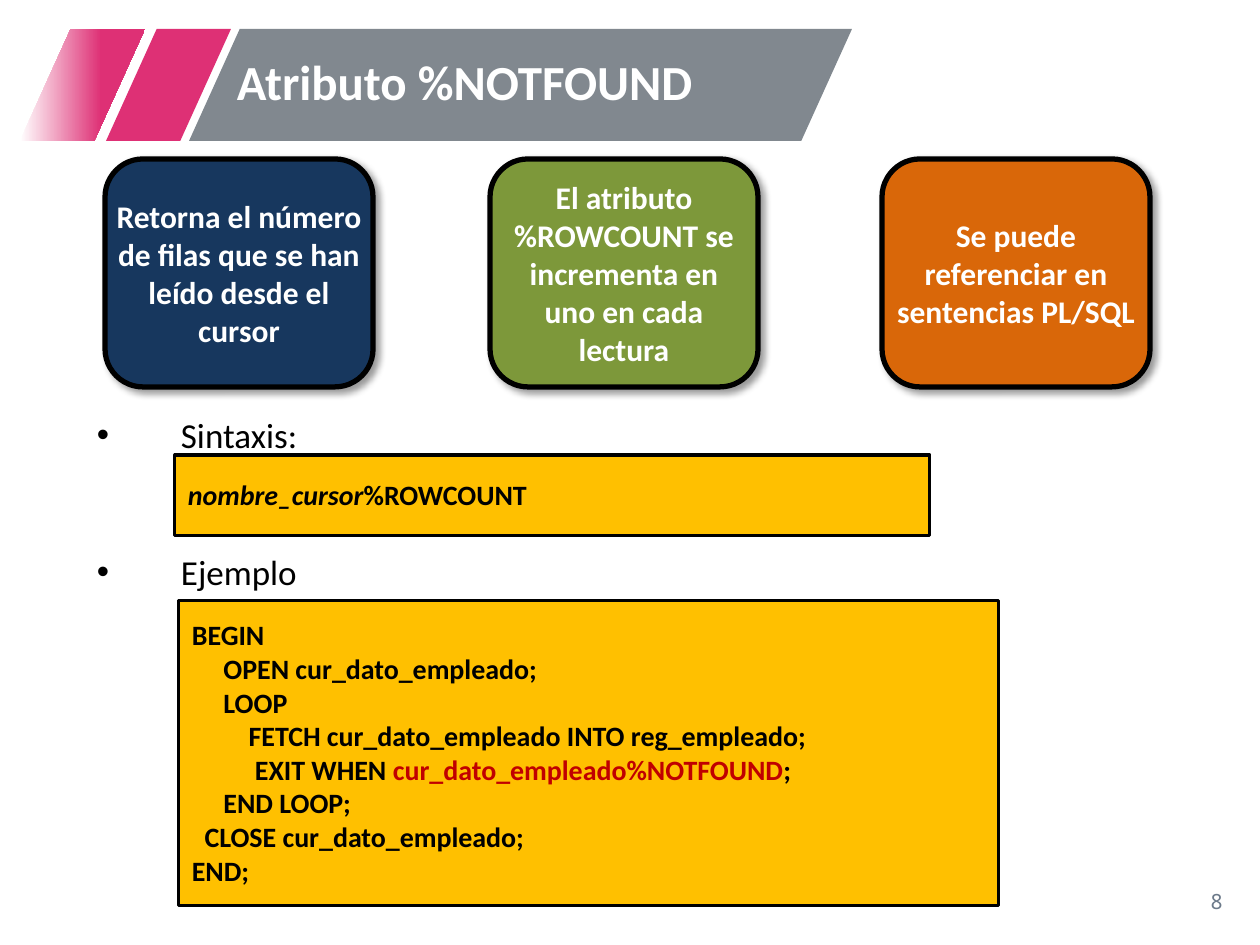
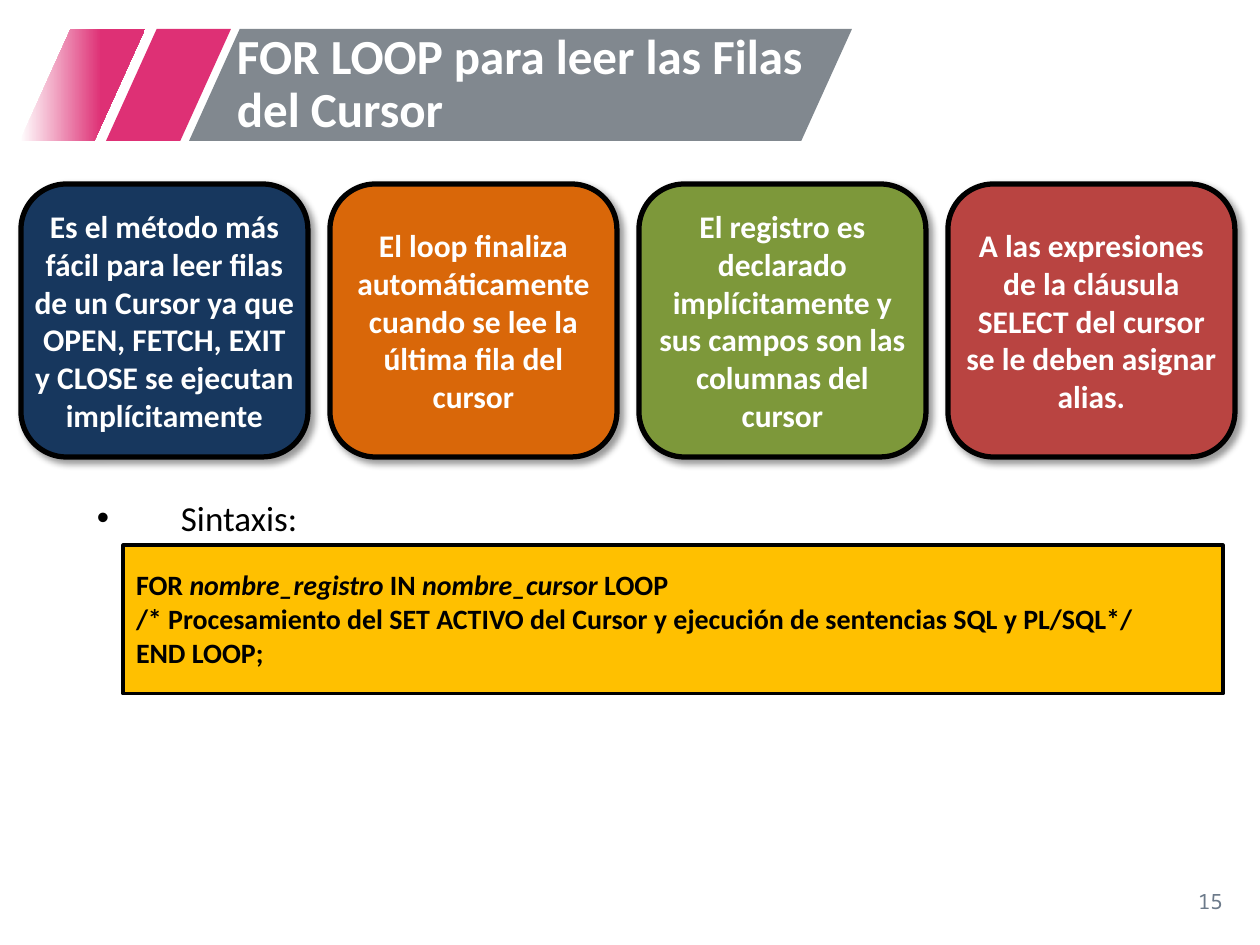
from lxml import etree
from pptx import Presentation
from pptx.dml.color import RGBColor
from pptx.enum import shapes, text
from pptx.oxml import ns
from pptx.util import Emu, Pt

WHITE = RGBColor(0xFF, 0xFF, 0xFF)
BLACK = RGBColor(0x00, 0x00, 0x00)
PINK = RGBColor(0xDE, 0x30, 0x75)
GREY = RGBColor(0x81, 0x88, 0x8F)
SLATE = RGBColor(0x6C, 0x7A, 0x8A)
NAVY = RGBColor(0x17, 0x37, 0x5E)
GREEN = RGBColor(0x7D, 0x98, 0x3A)
ORANGE = RGBColor(0xD9, 0x67, 0x09)
BRICK = RGBColor(0xB9, 0x44, 0x41)
AMBER = RGBColor(0xFF, 0xC0, 0x00)
RED = RGBColor(0xC0, 0x00, 0x00)

SCALE = 914400 / 126
FONT = "Calibri"
NUMBER_FONT = "Noto Sans Mono"
LEFT, CENTER, RIGHT, JUSTIFY = (
    text.PP_ALIGN.LEFT, text.PP_ALIGN.CENTER, text.PP_ALIGN.RIGHT, text.PP_ALIGN.JUSTIFY)
TOP, MIDDLE = text.MSO_ANCHOR.TOP, text.MSO_ANCHOR.MIDDLE
SHAPE = shapes.MSO_SHAPE


def px(length):
    """Turn pixels into EMU."""
    return Emu(round(length * SCALE))


def add_element(parent, tag, **attributes):
    """Append a drawing element to its parent."""
    element = etree.SubElement(parent, ns.qn(tag))
    for name, value in attributes.items():
        element.set(name, str(value))
    return element


def add_bullet(para, indent):
    """Give a paragraph a round bullet with a hanging indent."""
    properties = para._p.get_or_add_pPr()
    properties.set("marL", str(px(indent)))
    properties.set("indent", str(-px(indent)))
    add_element(properties, "a:buFont", typeface="Arial")
    add_element(properties, "a:buChar", char="•")


def write(shape, paragraphs, size, color, font=FONT, bold=False, align=LEFT, anchor=TOP,
          insets=(13, 6, 13, 6), line_spacing=None, gap=0, bullet_indent=0):
    """Fill a shape with paragraphs, each a string or a list of (text, format) spans."""
    frame = shape.text_frame
    frame.word_wrap = True
    frame.auto_size = text.MSO_AUTO_SIZE.NONE
    frame.vertical_anchor = anchor
    frame.margin_left, frame.margin_top, frame.margin_right, frame.margin_bottom = map(px, insets)
    for index, content in enumerate(paragraphs):
        para = frame.add_paragraph() if index else frame.paragraphs[0]
        para.alignment = align
        if line_spacing:
            para.line_spacing = line_spacing
        if index and gap:
            para.space_before = Pt(gap)
        if bullet_indent:
            add_bullet(para, bullet_indent)
        spans = [(content, {})] if isinstance(content, str) else content
        for words, change in spans:
            span = para.add_run()
            span.text = words
            span.font.name = font
            span.font.size = Pt(size)
            span.font.bold = bold
            span.font.italic = change.get("italic", False)
            span.font.color.rgb = change.get("color", color)


def add_text(page, box, paragraphs, **style):
    """Add a text box."""
    write(page.shapes.add_textbox(*map(px, box)), paragraphs, **style)


def add_block(page, kind, box, fill, line_width=0):
    """Add a filled shape, with a black line if it has a width."""
    block = page.shapes.add_shape(kind, *map(px, box))
    block.shadow.inherit = False
    block.fill.solid()
    block.fill.fore_color.rgb = fill
    if line_width:
        block.line.color.rgb = BLACK
        block.line.width = Pt(line_width)
    else:
        block.line.fill.background()
    return block


def add_header(page, box, title):
    """Add the slanted title bands and the title."""
    left, top, width, height = box
    bands = [(left + 86, 125, PINK), (left, 125, PINK), (left + 169, width - 169, GREY)]
    stripe, fading, _ = [
        add_block(page, SHAPE.PARALLELOGRAM, (x, top, band_width, height), fill)
        for x, band_width, fill in bands]
    for band in page.shapes:
        band.adjustments[0] = 0.453
    fading.fill.gradient()
    fading.fill.gradient_angle = 0
    for stop, color, position in zip(fading.fill.gradient_stops, (WHITE, PINK), (0, 0.65)):
        stop.color.rgb = color
        stop.position = position
    add_text(page, (left + 204, top, 607, height), [title], size=28, color=WHITE, bold=True,
             anchor=MIDDLE, line_spacing=0.9)


def add_page_number(page, box, number):
    """Add the page number."""
    add_text(page, box, [str(number)], size=12, color=SLATE, font=NUMBER_FONT,
             align=RIGHT, anchor=MIDDLE)


def add_cards(page, box, lefts, cards):
    """Add a row of rounded cards; lefts are relative to the box, whose size is one card's."""
    left, top, width, height = box
    for offset, (fill, words) in zip(lefts, cards):
        card = add_block(page, SHAPE.ROUNDED_RECTANGLE, (left + offset, top, width, height), fill, 3)
        effects = card._element.spPr.find(ns.qn("a:effectLst"))
        shadow = add_element(effects, "a:outerShdw", blurRad=Pt(4), dist=Pt(3), dir=45 * 60000,
                             algn="tl", rotWithShape=0)
        add_element(add_element(shadow, "a:srgbClr", val=BLACK), "a:alpha", val=40000)
        write(card, [words], size=18, color=WHITE, bold=True, align=CENTER, anchor=MIDDLE,
              insets=(0, 0, 0, 0))


def add_topics(page, box, topics, gap=0):
    """Add the bulleted headings of the code boxes."""
    add_text(page, box, topics, size=20, color=BLACK, align=JUSTIFY, line_spacing=0.8,
             gap=gap, bullet_indent=84)


def add_code(page, box, lines, top_inset=23):
    """Add an amber box with code."""
    block = add_block(page, SHAPE.RECTANGLE, box, AMBER, 1.75)
    write(block, lines, size=16, color=BLACK, bold=True, insets=(13, top_inset, 13, 0))


def add_page(deck, title, number):
    """Add a blank page with the shared header and page number."""
    page = deck.slides.add_slide(deck.slide_layouts[6])
    add_header(page, (20, 29, 832, 112), title)
    add_page_number(page, (953, 876, 283, 50), number)
    return page


def build_attribute_page(deck):
    """Build the page on the cursor attribute."""
    page = add_page(deck, "Atributo %NOTFOUND", 8)
    add_cards(page, (105, 159, 268, 228), (0, 385, 777), [
        (NAVY, "Retorna el número de filas que se han leído desde el cursor"),
        (GREEN, "El atributo %ROWCOUNT se incrementa en uno en cada lectura"),
        (ORANGE, "Se puede referenciar en sentencias PL/SQL"),
    ])
    add_topics(page, (84, 416, 1081, 190), ["Sintaxis:", "Ejemplo"], gap=59)
    add_code(page, (175, 455, 755, 81),
             [[("nombre_cursor", {"italic": True}), ("%ROWCOUNT", {})]])
    add_code(page, (179, 601, 820, 305), [
        "BEGIN",
        "     OPEN cur_dato_empleado;",
        "     LOOP",
        "         FETCH cur_dato_empleado INTO reg_empleado;",
        [("          EXIT WHEN ", {}), ("cur_dato_empleado%NOTFOUND", {"color": RED}), (";", {})],
        "     END LOOP;",
        "  CLOSE cur_dato_empleado;",
        "END;",
    ], top_inset=17)


def build_loop_page(deck):
    """Build the page on the cursor FOR loop."""
    page = add_page(deck, "FOR LOOP para leer las Filas del Cursor", 15)
    add_cards(page, (21, 184, 287, 273), range(0, 4 * 309, 309), [
        (NAVY, "Es el método más fácil para leer filas de un Cursor ya que OPEN, FETCH, EXIT "
               "y CLOSE se ejecutan implícitamente"),
        (ORANGE, "El loop finaliza automáticamente cuando se lee la última fila del cursor"),
        (GREEN, "El registro es declarado implícitamente y sus campos son las columnas del cursor"),
        (BRICK, "A las expresiones de la cláusula SELECT del cursor se le deben asignar alias."),
    ])
    add_topics(page, (84, 499, 1081, 57), ["Sintaxis:"])
    add_code(page, (123, 545, 1100, 149), [
        [("FOR ", {}), ("nombre_registro", {"italic": True}), (" IN ", {}),
         ("nombre_cursor", {"italic": True}), (" LOOP", {})],
        "/* Procesamiento del SET ACTIVO del Cursor y ejecución de sentencias SQL y PL/SQL*/",
        "END LOOP;",
    ])


def main():
    """Build and save the deck."""
    deck = Presentation()
    deck.slide_width, deck.slide_height = px(1260), px(945)
    build_attribute_page(deck)
    build_loop_page(deck)
    deck.save("out.pptx")


if __name__ == "__main__":
    main()
